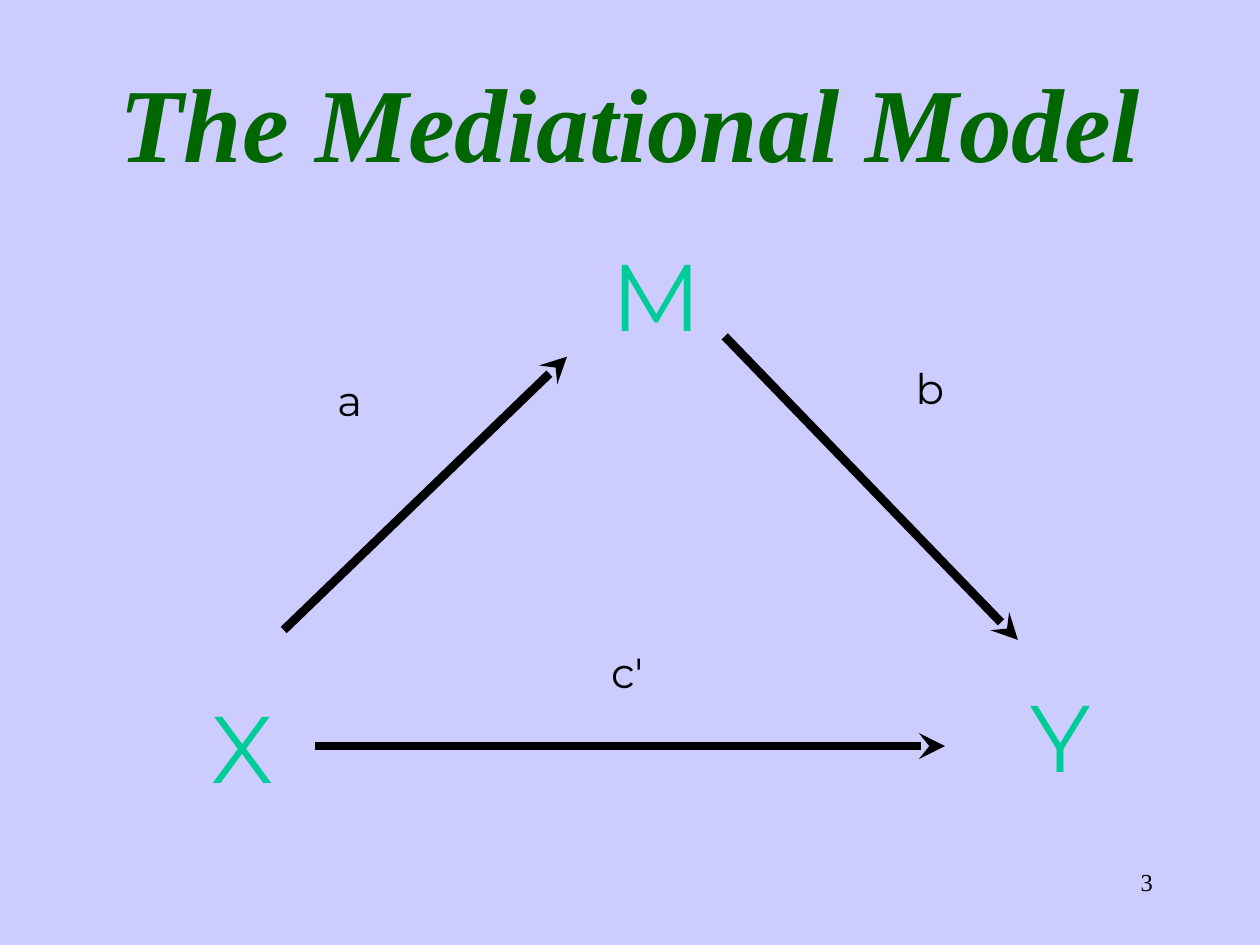
from typing import NamedTuple

import pptx
import pptx.dml.color
import pptx.enum.shapes
import pptx.enum.text
import pptx.oxml
import pptx.oxml.ns
import pptx.util
from pptx.dml.color import RGBColor
from pptx.util import Cm

LAVENDER = RGBColor(0xCC, 0xCC, 0xFF)
DARK_GREEN = RGBColor(0x00, 0x66, 0x00)
TEAL = RGBColor(0x00, 0xCC, 0x99)
BLACK = RGBColor(0x00, 0x00, 0x00)

SERIF = "Times New Roman"
SANS = "Montserrat"
ALIGN = pptx.enum.text.PP_ALIGN


class Label(NamedTuple):
    text: str
    left: float
    top: float
    width: float
    height: float
    size: int
    color: RGBColor


class Arrow(NamedTuple):
    begin_x: float
    begin_y: float
    end_x: float
    end_y: float


VARIABLES = [
    Label("X", 4.01, 13.77, 1.47, 2.67, 54, TEAL),
    Label("Y", 20.52, 13.54, 1.47, 2.67, 54, TEAL),
    Label("M", 12.07, 4.65, 1.47, 2.67, 54, TEAL),
]
COEFFICIENTS = [
    Label("c'", 12.07, 12.9, 1.47, 1.8, 24, BLACK),
    Label("b", 18.21, 7.19, 1.27, 1.8, 24, BLACK),
    Label("a", 6.55, 7.42, 1.07, 1.8, 24, BLACK),
]
ARROWS = [
    Arrow(6.35, 15.04, 19.05, 15.04),  # X to Y
    Arrow(5.72, 12.7, 11.43, 7.19),  # X to M
    Arrow(14.61, 6.78, 20.52, 12.9),  # M to Y
]


def format_font(font, name: str, size: int, color: RGBColor) -> None:
    font.name = name
    font.size = pptx.util.Pt(size)
    font.color.rgb = color


def add_label(slide, label: Label) -> None:
    box = slide.shapes.add_textbox(
        Cm(label.left), Cm(label.top), Cm(label.width), Cm(label.height)
    )
    box.text_frame.word_wrap = False
    box.text_frame.text = label.text
    run = box.text_frame.paragraphs[0].runs[0]
    format_font(run.font, SANS, label.size, label.color)
    # Thin outline around the letters, in their own colour
    outline = pptx.oxml.parse_xml(
        f'<a:ln {pptx.oxml.ns.nsdecls("a")} w="9525"><a:solidFill>'
        f'<a:srgbClr val="{label.color}"/></a:solidFill></a:ln>'
    )
    run.font._element.insert(0, outline)


def add_arrow(slide, arrow: Arrow) -> None:
    connector = slide.shapes.add_connector(
        pptx.enum.shapes.MSO_CONNECTOR.STRAIGHT, *(Cm(value) for value in arrow)
    )
    connector.line.color.rgb = BLACK
    connector.line.width = pptx.util.Pt(5)
    namespace = pptx.oxml.ns.nsdecls("a")
    connector.line._get_or_add_ln().append(
        pptx.oxml.parse_xml(f'<a:tailEnd {namespace} type="stealth"/>')
    )
    connector._element.spPr.append(pptx.oxml.parse_xml(f"<a:effectLst {namespace}/>"))


def add_title(slide, text: str) -> None:
    title = slide.shapes.title
    title.left, title.top = Cm(1.91), Cm(0.84)
    title.width, title.height = Cm(21.59), Cm(3.18)
    title.text_frame.text = text
    title.text_frame.vertical_anchor = pptx.enum.text.MSO_ANCHOR.MIDDLE
    paragraph = title.text_frame.paragraphs[0]
    paragraph.alignment = ALIGN.CENTER
    font = paragraph.runs[0].font
    format_font(font, SERIF, 60, DARK_GREEN)
    font.bold = font.italic = True


def add_page_number(slide, number: int) -> None:
    box = slide.shapes.add_textbox(Cm(18.21), Cm(17.35), Cm(5.28), Cm(1.27))
    box.text_frame.word_wrap = True
    box.text_frame.text = str(number)
    paragraph = box.text_frame.paragraphs[0]
    paragraph.alignment = ALIGN.RIGHT
    format_font(paragraph.runs[0].font, SERIF, 14, BLACK)


def main() -> None:
    presentation = pptx.Presentation()
    presentation.slide_width, presentation.slide_height = Cm(25.4), Cm(19.05)
    slide = presentation.slides.add_slide(presentation.slide_layouts[5])

    # Background
    slide.background.fill.solid()
    slide.background.fill.fore_color.rgb = LAVENDER

    # Title and page number
    add_title(slide, "The Mediational Model")
    add_page_number(slide, 3)

    # Path diagram
    for label in VARIABLES + COEFFICIENTS:
        add_label(slide, label)
    for arrow in ARROWS:
        add_arrow(slide, arrow)

    presentation.save("out.pptx")


if __name__ == "__main__":
    main()
